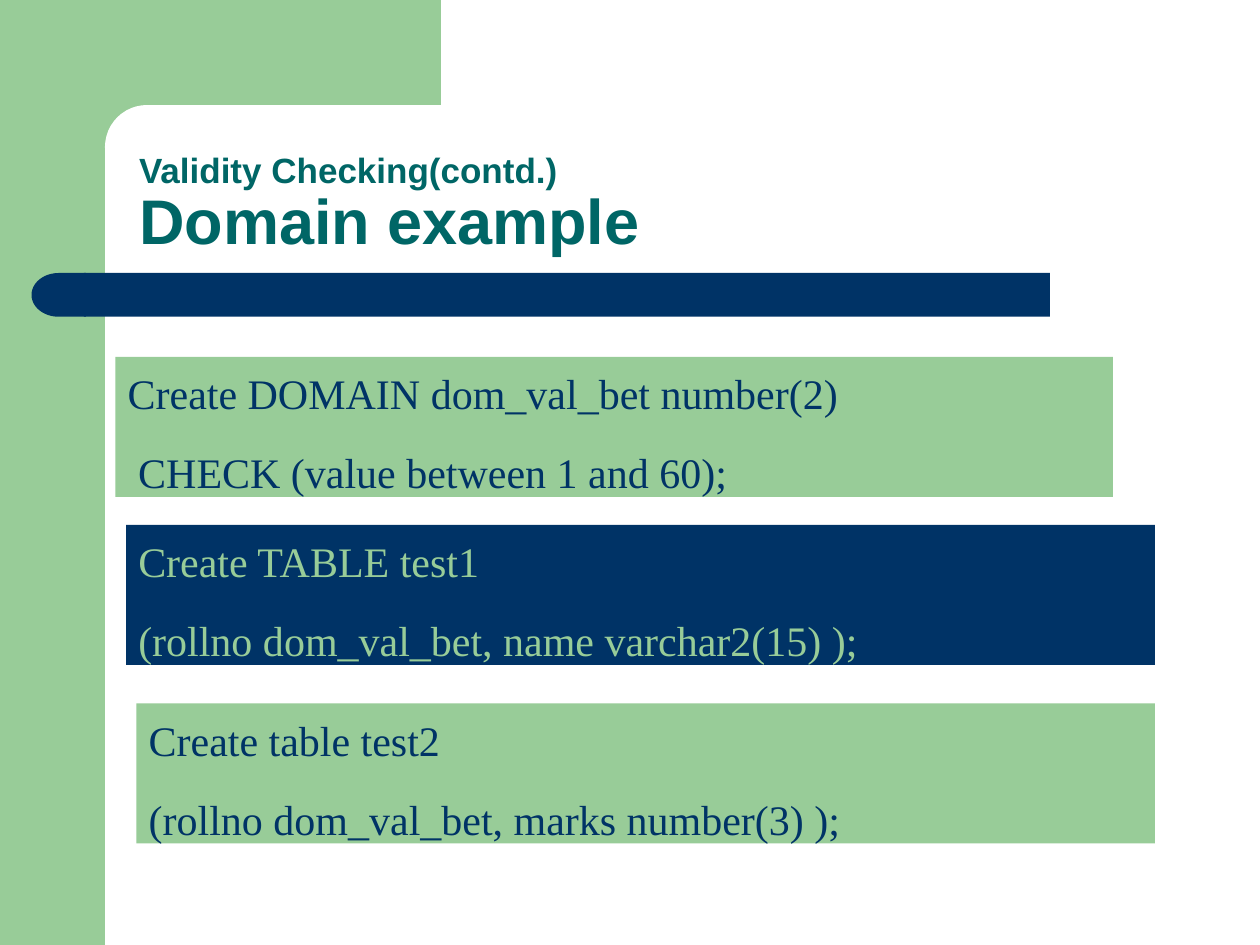
from pptx import Presentation
from pptx.dml.color import RGBColor
from pptx.enum import shapes, text
from pptx.util import Pt

GREEN = RGBColor(0x98, 0xCC, 0x98)
NAVY = RGBColor(0x00, 0x33, 0x66)
TEAL = RGBColor(0x00, 0x66, 0x66)
WHITE = RGBColor(0xFF, 0xFF, 0xFF)
KINDS = shapes.MSO_SHAPE

STATEMENTS = [
    ((66, 204, 570, 80), GREEN, NAVY, 6,
     ["Create DOMAIN dom_val_bet number(2)", "CHECK (value between 1 and 60);"]),
    ((72, 300, 588, 80), NAVY, GREEN, 0,
     ["Create TABLE test1", "(rollno dom_val_bet, name varchar2(15) );"]),
    ((78, 402, 582, 80), GREEN, NAVY, 0,
     ["Create table test2", "(rollno dom_val_bet, marks number(3) );"]),
]


def add_filled(slide, kind, box, color):
    shape = slide.shapes.add_shape(kind, *map(Pt, box))
    shape.shadow.inherit = False
    shape.fill.solid()
    shape.fill.fore_color.rgb = color
    shape.line.fill.background()
    return shape


def style_paragraph(paragraph, font_name, size, color, bold=False):
    paragraph.alignment = text.PP_ALIGN.LEFT
    for run in paragraph.runs:
        run.font.name = font_name
        run.font.size = Pt(size)
        run.font.color.rgb = color
        run.font.bold = bold


def set_margins(frame, left, top):
    frame.margin_left, frame.margin_top = Pt(left), Pt(top)
    frame.margin_right = frame.margin_bottom = 0
    frame.vertical_anchor = text.MSO_ANCHOR.TOP


def add_backdrop(slide, box):
    left, top, width, height = box
    add_filled(slide, KINDS.RECTANGLE, (left, top, 60, height), GREEN)
    add_filled(slide, KINDS.RECTANGLE, (left + 54, top, 198, 84), GREEN)
    panel = add_filled(slide, KINDS.ROUNDED_RECTANGLE,
                       (left + 60, top + 60, 402, 48), WHITE)
    panel.adjustments[0] = 0.5


def add_title_bar(slide, box):
    left, top, width, height = box
    cap_width = 31
    add_filled(slide, KINDS.RECTANGLE,
               (left + cap_width - 1, top, width - cap_width + 1, height), NAVY)
    cap = add_filled(slide, KINDS.FLOWCHART_DELAY,
                     (left, top, cap_width, height), NAVY)
    cap.rotation = 180


def add_heading(slide, box, wording, size):
    frame = slide.shapes.add_textbox(*map(Pt, box)).text_frame
    frame.text = wording
    frame.word_wrap = True
    set_margins(frame, 1, 2)
    style_paragraph(frame.paragraphs[0], "Arial", size, TEAL, bold=True)


def add_statement(slide, box, fill, color, indent, lines):
    frame = add_filled(slide, KINDS.RECTANGLE, box, fill).text_frame
    frame.text = "\n".join(lines)
    frame.word_wrap = True
    set_margins(frame, 7, 6)
    for paragraph in frame.paragraphs:
        style_paragraph(paragraph, "Times New Roman", 24, color)
    second = frame.paragraphs[1]
    second.space_before = Pt(16.4)
    second._p.get_or_add_pPr().set("marL", str(Pt(indent)))


def main():
    presentation = Presentation()
    presentation.slide_width, presentation.slide_height = Pt(720), Pt(540)
    slide = presentation.slides.add_slide(presentation.slide_layouts[6])
    add_backdrop(slide, (0, 0, 720, 540))
    add_title_bar(slide, (18, 156, 582, 25))
    add_heading(slide, (78.5, 83, 260, 26), "Validity Checking(contd.)", 20)
    add_heading(slide, (78.5, 102, 300, 45), "Domain example", 36)
    for statement in STATEMENTS:
        add_statement(slide, *statement)
    presentation.save("out.pptx")


if __name__ == "__main__":
    main()
